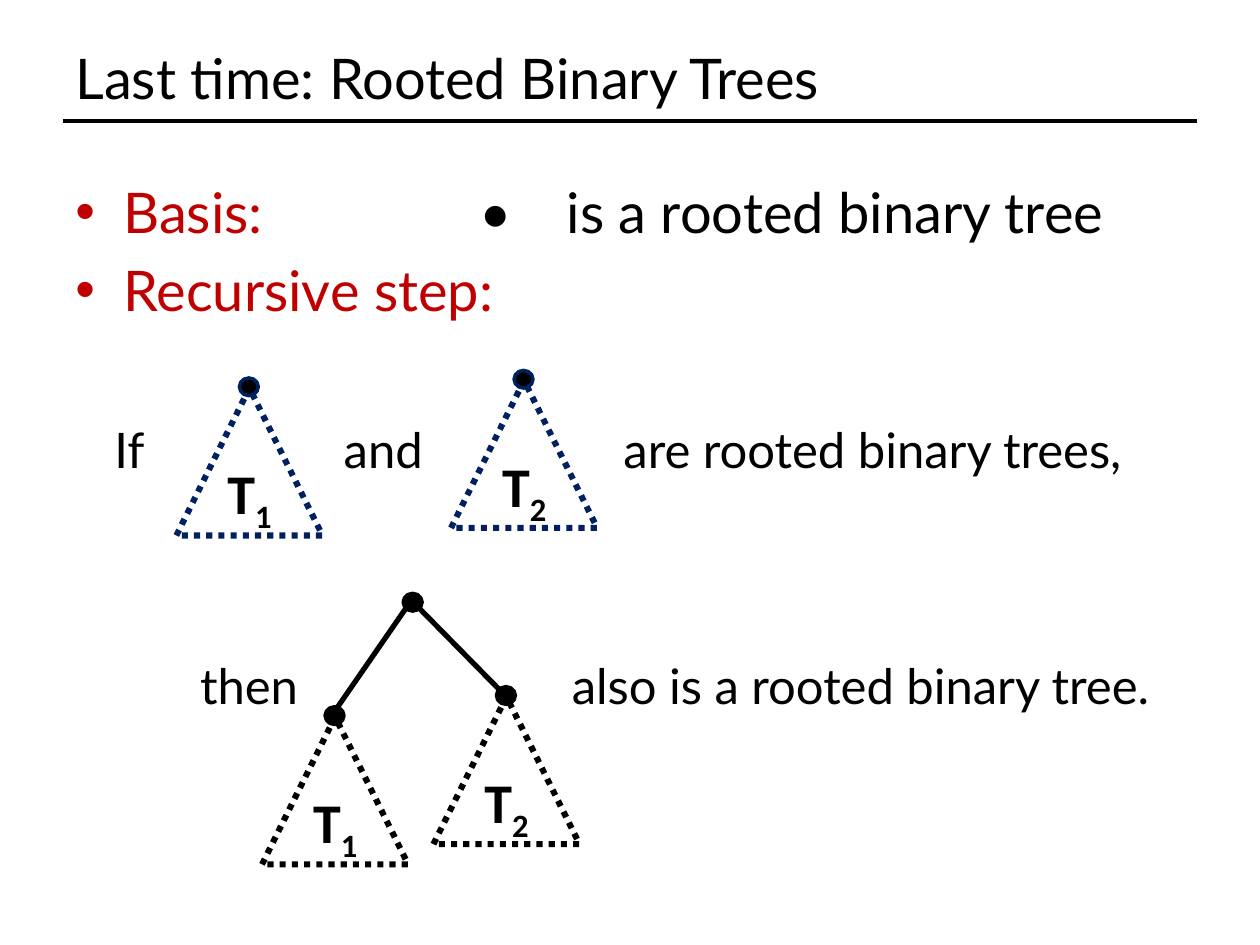
from lxml import etree
from pptx import Presentation, util as u
from pptx.dml.color import RGBColor
from pptx.enum import dml, shapes, text
from pptx.oxml import ns

BLACK = RGBColor(0x00, 0x00, 0x00)
RED = RGBColor(0xC0, 0x00, 0x00)
NAVY = RGBColor(0x00, 0x20, 0x60)


class TreeSlide:
    """Draws text and trees on one slide, with a grid of 100 columns by 75 rows."""

    body_font = "Lato"
    label_font = "Calibri"
    triangle_size = (11.6, 11.7)
    node_size = (1.5, 1.4)

    def __init__(self, presentation):
        self.column = presentation.slide_width / 100
        self.row = presentation.slide_height / 75
        self.slide = presentation.slides.add_slide(presentation.slide_layouts[6])

    def place(self, left, top):
        return round(left * self.column), round(top * self.row)

    def text(self, box, lines, size=32, color=BLACK, tabs=(), bullet=None):
        left, top, width, height = box
        shape = self.slide.shapes.add_textbox(
            *self.place(left, top), *self.place(width, height))
        frame = shape.text_frame
        frame.word_wrap = True
        for index, line in enumerate(lines):
            paragraph = frame.paragraphs[0] if index == 0 else frame.add_paragraph()
            paragraph.text = line
            properties = paragraph._p.get_or_add_pPr()
            if bullet:
                indent = round(3.8 * self.column)
                properties.set("marL", str(indent))
                properties.set("indent", str(-indent))
                etree.SubElement(properties, ns.qn("a:buFont"), typeface="Arial")
                etree.SubElement(properties, ns.qn("a:buChar"), char=bullet)
            if tabs:
                tab_list = etree.SubElement(properties, ns.qn("a:tabLst"))
                for tab in tabs:
                    etree.SubElement(tab_list, ns.qn("a:tab"),
                                     pos=str(round(tab * self.column)), algn="l")
            if index:
                paragraph.space_before = u.Pt(size * 0.2)
            paragraph.font.name = self.body_font
            paragraph.font.size = u.Pt(size)
            paragraph.font.color.rgb = color

    def line(self, start, end, width):
        connector = self.slide.shapes.add_connector(
            shapes.MSO_CONNECTOR.STRAIGHT, *self.place(*start), *self.place(*end))
        connector.line.color.rgb = BLACK
        connector.line.width = u.Pt(width)
        etree.SubElement(connector._element.spPr, ns.qn("a:effectLst"))

    def outline(self, kind, left, top, size, color, width):
        shape = self.slide.shapes.add_shape(
            kind, *self.place(left, top), *self.place(*size))
        shape.shadow.inherit = False
        shape.line.color.rgb = color
        shape.line.width = u.Pt(width)
        return shape

    def node(self, left, top, color=BLACK):
        shape = self.outline(shapes.MSO_SHAPE.OVAL, left, top, self.node_size, color, 2)
        shape.fill.solid()
        shape.fill.fore_color.rgb = BLACK

    def tree(self, left, top, number, color=BLACK):
        shape = self.outline(shapes.MSO_SHAPE.ISOSCELES_TRIANGLE, left, top,
                             self.triangle_size, color, 3.5)
        shape.fill.background()
        shape.line.dash_style = dml.MSO_LINE.ROUND_DOT
        frame = shape.text_frame
        frame.margin_top = frame.margin_bottom = 0
        frame.word_wrap = False
        frame.vertical_anchor = text.MSO_ANCHOR.MIDDLE
        paragraph = frame.paragraphs[0]
        paragraph.alignment = text.PP_ALIGN.CENTER
        paragraph.line_spacing = 0.7
        paragraph.add_run().text = "T"
        subscript = paragraph.add_run()
        subscript.text = number
        subscript.font._element.set("baseline", "-25000")
        paragraph.font.name = self.label_font
        paragraph.font.size = u.Pt(32)
        paragraph.font.bold = True
        paragraph.font.color.rgb = BLACK
        self.node(left + 5, top - 0.8, color)


def main():
    presentation = Presentation()
    presentation.slide_width = u.Inches(10)
    presentation.slide_height = u.Inches(7.5)
    page = TreeSlide(presentation)

    page.line((5, 9.6), (95, 9.6), 2)
    page.text((5, 3, 90, 6.6), ["Last time: Rooted Binary Trees"])
    page.text((5, 13.6, 45, 13), ["Basis:", "Recursive step:"], color=RED, bullet="•")
    page.text((37.1, 13.6, 58, 6.6), ["•\tis a rooted binary tree"], tabs=[6.9])
    page.text((8.1, 32.8, 87, 6), ["If\tand\tare rooted binary trees,"],
              size=28, tabs=[18.2, 40.4])
    page.text((14.9, 51.5, 80, 6), ["then\talso is a rooted binary tree."],
              size=28, tabs=[29.5])

    page.tree(14, 30.8, "1", NAVY)
    page.tree(35.8, 30.2, "2", NAVY)

    page.node(32, 47.1)
    page.line((32.2, 48.3), (26.6, 56.4), 3)
    page.line((33.3, 48.3), (39.7, 54.8), 3)
    page.tree(20.8, 56.9, "1")
    page.tree(34.4, 55.3, "2")

    presentation.save("out.pptx")


if __name__ == "__main__":
    main()
